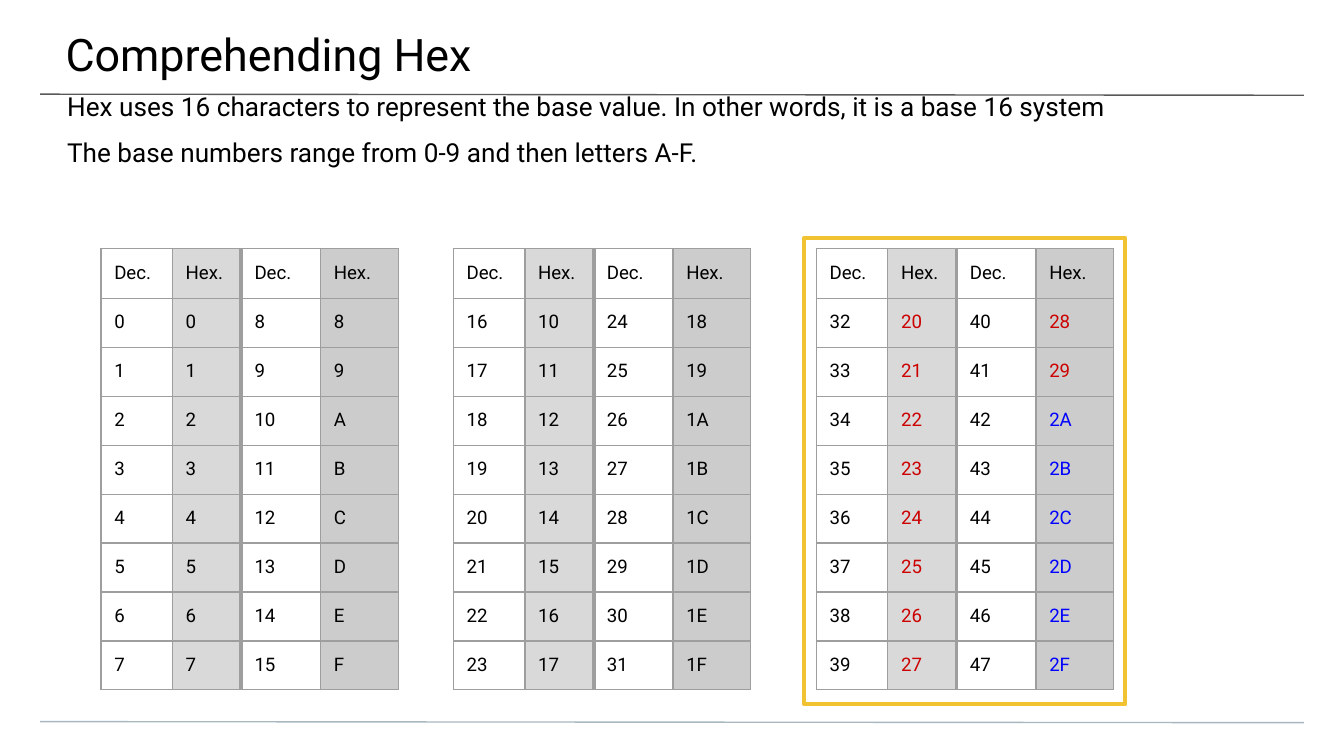
from pptx import Presentation
from pptx.dml.color import RGBColor
from pptx.enum.shapes import MSO_CONNECTOR, MSO_SHAPE
from pptx.enum.text import MSO_ANCHOR
from pptx.oxml.ns import qn
from pptx.util import Cm, Pt
from lxml.etree import SubElement

FONT = "Roboto"
BLACK = RGBColor(0x00, 0x00, 0x00)
RED = RGBColor(0xCC, 0x00, 0x00)
BLUE = RGBColor(0x00, 0x00, 0xFF)
DARK_GRAY = RGBColor(0x59, 0x59, 0x59)
BLUE_GRAY = RGBColor(0xA9, 0xB7, 0xC0)
BORDER = RGBColor(0x9E, 0x9E, 0x9E)
LIGHT_FILL = RGBColor(0xD9, 0xD9, 0xD9)
MID_FILL = RGBColor(0xCC, 0xCC, 0xCC)
GOLD = RGBColor(0xF1, 0xC2, 0x32)

HEADERS = ["Dec.", "Hex.", "Dec.", "Hex."]
COL_WIDTHS = [1.35, 1.3, 1.5, 1.47]
COL_FILLS = [None, LIGHT_FILL, None, MID_FILL]
HEADER_HEIGHT = 0.94
ROW_HEIGHT = 0.85
VALUE_ROWS = 8
TABLE_TOP = 4.7
CELL_MARGIN = 0.25
THIN = 0.75
THICK = 2.25


def add_run(p, text, size, color=BLACK):
    r = p.add_run()
    r.text = text
    r.font.name = FONT
    r.font.size = Pt(size)
    r.font.bold = False
    r.font.color.rgb = color


def add_text(slide, box, margins, lines, size, gap=0):
    sp = slide.shapes.add_textbox(*(Cm(v) for v in box))
    tf = sp.text_frame
    tf.word_wrap = True
    tf.vertical_anchor = MSO_ANCHOR.TOP
    tf.margin_left, tf.margin_top, tf.margin_right, tf.margin_bottom = (
        Cm(v) for v in margins)
    for i, line in enumerate(lines):
        p = tf.add_paragraph() if i else tf.paragraphs[0]
        if i:
            p.space_before = p.space_after = Pt(gap)
        add_run(p, line, size)


def add_rule(slide, top, color):
    ln = slide.shapes.add_connector(
        MSO_CONNECTOR.STRAIGHT, Cm(0.76), Cm(top), Cm(24.64), Cm(top + 0.02))
    ln.line.color.rgb = color
    ln.line.width = Pt(THIN)
    SubElement(ln._element.spPr, qn("a:effectLst"))


def add_frame(slide, left, top, width, height):
    sp = slide.shapes.add_shape(
        MSO_SHAPE.RECTANGLE, Cm(left), Cm(top), Cm(width), Cm(height))
    sp.shadow.inherit = False
    sp.fill.background()
    sp.line.color.rgb = GOLD
    sp.line.width = Pt(THICK)


def set_borders(cell, col):
    tc_pr = cell._tc.get_or_add_tcPr()
    widths = {
        "a:lnL": THICK if col == 2 else THIN,
        "a:lnR": THICK if col == 1 else THIN,
        "a:lnT": THIN,
        "a:lnB": THIN,
    }
    for tag, width in widths.items():
        ln = SubElement(tc_pr, qn(tag), w=str(Pt(width)))
        fill = SubElement(ln, qn("a:solidFill"))
        SubElement(fill, qn("a:srgbClr"), val=str(BORDER))


def fill_cell(cell, col, text, color):
    set_borders(cell, col)
    if COL_FILLS[col]:
        cell.fill.solid()
        cell.fill.fore_color.rgb = COL_FILLS[col]
    else:
        cell.fill.background()
    cell.margin_left = cell.margin_right = Cm(CELL_MARGIN)
    cell.margin_top = cell.margin_bottom = Cm(CELL_MARGIN)
    add_run(cell.text_frame.paragraphs[0], text, 10, color)


def hex_color(text, highlight):
    if not highlight:
        return BLACK
    return RED if text.isdigit() else BLUE


def add_hex_table(slide, left, start, highlight):
    height = HEADER_HEIGHT + VALUE_ROWS * ROW_HEIGHT
    table = slide.shapes.add_table(
        VALUE_ROWS + 1, len(HEADERS), Cm(left), Cm(TABLE_TOP),
        Cm(sum(COL_WIDTHS)), Cm(height)).table
    table.first_row = table.horz_banding = False
    for column, width in zip(table.columns, COL_WIDTHS):
        column.width = Cm(width)
    for i, row in enumerate(table.rows):
        row.height = Cm(ROW_HEIGHT if i else HEADER_HEIGHT)
    for col, header in enumerate(HEADERS):
        fill_cell(table.cell(0, col), col, header, BLACK)
    for i in range(VALUE_ROWS):
        for half in range(2):
            value = start + half * VALUE_ROWS + i
            col = half * 2
            text = f"{value:X}"
            fill_cell(table.cell(i + 1, col), col, str(value), BLACK)
            fill_cell(table.cell(i + 1, col + 1), col + 1, text,
                      hex_color(text, highlight))


def main():
    prs = Presentation()
    prs.slide_width, prs.slide_height = Cm(25.4), Cm(14.29)
    slide = prs.slides.add_slide(prs.slide_layouts[6])
    add_rule(slide, 1.78, DARK_GRAY)
    add_rule(slide, 13.64, BLUE_GRAY)
    add_text(slide, (-0.03, 0, 25.48, 1.47), (1.27, 0.51, 0.76, 0.25),
             ["Comprehending Hex"], 24)
    for i, left in enumerate([1.91, 8.57, 15.43]):
        add_hex_table(slide, left, i * 16, highlight=i == 2)
    add_frame(slide, 15.2, 4.5, 6.07, 8.81)
    add_text(slide, (0, 2.24, 25.4, 3.07), (1.27, 0, 1.27, 2.54),
             ["Hex uses 16 characters to represent the base value. "
              "In other words, it is a base 16 system",
              "The base numbers range from 0-9 and then letters A-F."],
             14, gap=8)
    prs.save("out.pptx")


if __name__ == "__main__":
    main()
